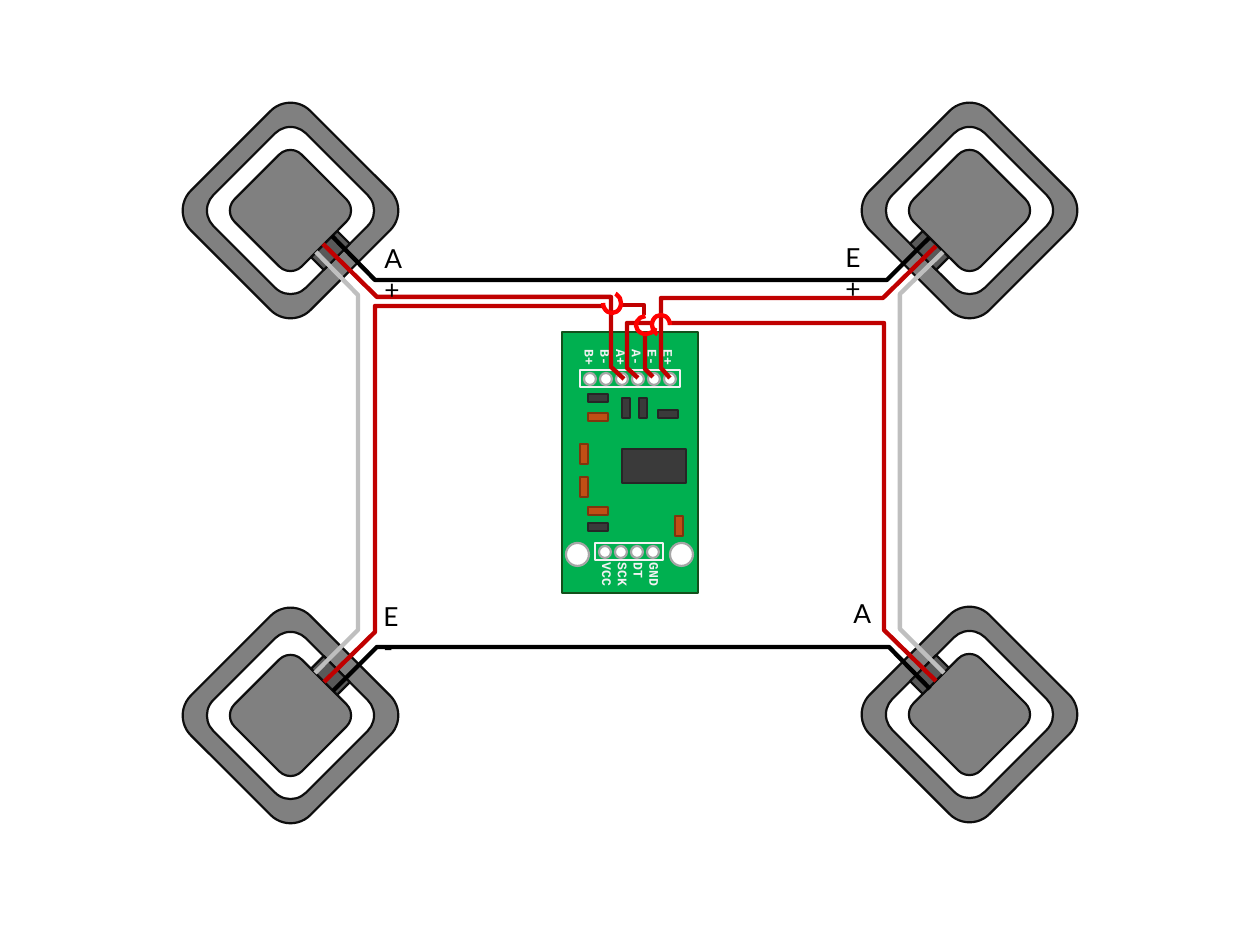
from pptx import Presentation
from pptx import util as u
from pptx.dml.color import RGBColor
from pptx.enum import shapes, text

SCALE = 914400 / 105
KIND = shapes.MSO_SHAPE
COLORS = {
    "metal": "808080", "edge": "0D0D0D", "tab": "595959", "white": "FFFFFF",
    "board": "00B050", "board_edge": "13501B", "chip": "3A3A3A", "chip_edge": "262626",
    "capacitor": "C04F15", "capacitor_edge": "80350E", "print": "F2F2F2",
    "pin_edge": "A6A6A6", "gray": "BFBFBF", "black": "000000", "red": "C00000",
    "bridge": "FF0000",
}
CELLS = [(206, 126, 1, 1), (885, 126, -1, 1), (206, 631, 1, -1), (885, 630, -1, -1)]
CHIPS = [(60, 117, 64, 34), (96, 78, 20, 8), (77, 66, 8, 20), (60, 66, 8, 20),
         (26, 62, 20, 8), (26, 191, 20, 8)]
CAPACITORS = [(26, 81, 20, 8), (26, 175, 20, 8), (18, 112, 8, 20), (18, 145, 8, 20),
              (113, 184, 8, 20)]
WIRES = [
    ("gray", [(316, 252), (358, 295), (358, 630), (315, 673)]),
    ("gray", [(943, 252), (900, 294), (900, 629), (944, 673)]),
    ("black", [(332, 236), (375, 280), (887, 280), (929, 238)]),
    ("black", [(333, 691), (377, 647), (889, 647), (930, 689)]),
    ("red", [(323, 244), (377, 297), (611, 297), (611, 367), (624, 379)]),
    ("red", [(936, 246), (883, 298), (661, 298), (661, 368), (670, 378)]),
    ("red", [(638, 378), (627, 368), (627, 323), (653, 323)]),
    ("red", [(669, 323), (884, 323), (884, 630), (936, 681)]),
    ("red", [(653, 377), (645, 369), (645, 332)]),
    ("red", [(644, 315), (644, 305), (621, 305)]),
    ("red", [(602, 306), (375, 306), (375, 632), (324, 682)]),
]
BRIDGES = [(652, 315, 0), (603, 293, 180), (637, 315, 266.5)]
TERMINALS = [("E-", 373, 595, 45), ("A+", 374, 237, 51), ("E+", 835, 236, 50),
             ("A-", 843, 592, 46)]


def px(length):
    return u.Emu(round(length * SCALE))


def color(name):
    return RGBColor.from_string(COLORS[name])


def style(shape, fill, line, width):
    shape.shadow.inherit = False
    if fill:
        shape.fill.solid()
        shape.fill.fore_color.rgb = color(fill)
    else:
        shape.fill.background()
    shape.line.color.rgb = color(line)
    shape.line.width = u.Pt(width)


def add_part(slide, kind, box, fill, line, rotation=0, width=1.5):
    shape = slide.shapes.add_shape(kind, *map(px, box))
    shape.rotation = rotation
    style(shape, fill, line, width)
    return shape


def add_text(slide, box, lines, font, size, ink, bold=False, rotation=0, spacing=None):
    shape = slide.shapes.add_textbox(*map(px, box))
    shape.rotation = rotation
    frame = shape.text_frame
    frame.word_wrap = True
    frame.vertical_anchor = text.MSO_ANCHOR.TOP
    frame.text = "\n".join(lines)
    for paragraph in frame.paragraphs:
        paragraph.line_spacing = spacing
        for run in paragraph.runs:
            run.font.name = font
            run.font.size = u.Pt(size)
            run.font.bold = bold
            run.font.color.rgb = color(ink)


def add_load_cell(slide, left, top, side_x, side_y):
    size = 169
    rotation = -45 * side_x * side_y % 360
    for inset, fill in ((0, "metal"), (19, "white"), (37, "metal")):
        inner = size - 2 * inset
        add_part(slide, KIND.ROUNDED_RECTANGLE, (left + inset, top + inset, inner, inner),
                 fill, "edge", rotation)
    width, height, offset = 37, 18, 40
    center_x = left + size / 2 + offset * side_x
    center_y = top + size / 2 + offset * side_y
    add_part(slide, KIND.RECTANGLE,
             (center_x - width / 2, center_y - height / 2, width, height),
             "tab", "edge", rotation)


def add_header(slide, left, top, count):
    pitch = 16
    add_part(slide, KIND.RECTANGLE, (left, top, count * pitch + 4, 17), None, "print")
    for index in range(count):
        add_part(slide, KIND.OVAL, (left + 4 + index * pitch, top + 3, 12, 12),
                 "white", "pin_edge")


def add_board(slide, left, top, width, height):
    add_part(slide, KIND.RECTANGLE, (left, top, width, height), "board", "board_edge")
    for fill, parts in (("chip", CHIPS), ("capacitor", CAPACITORS)):
        for x, y, part_width, part_height in parts:
            add_part(slide, KIND.RECTANGLE, (left + x, top + y, part_width, part_height),
                     fill, fill + "_edge")
    for x, y, label_width, label_height, names in (
            (47, -26, 39, 106, ["E+", "E-", "A-", "A+", "B-", "B+"]),
            (43, 208, 50, 75, ["GND", "DT", "SCK", "VCC"])):
        add_text(slide, (left + x, top + y, label_width, label_height), names,
                 "Courier New", 9, "print", True, 90, u.Pt(10.8))
    add_header(slide, left + 18, top + 38, 6)
    add_header(slide, left + 33, top + 211, 4)
    for x in (4, 108):
        add_part(slide, KIND.OVAL, (left + x, top + 211, 23, 23), "white", "pin_edge")


def add_wiring(slide):
    for line, points in WIRES:
        builder = slide.shapes.build_freeform(*points[0], scale=SCALE)
        builder.add_line_segments(points[1:], close=False)
        style(builder.convert_to_shape(), None, line, 3)
    for left, top, rotation in BRIDGES:
        arc = add_part(slide, KIND.ARC, (left, top, 18, 20), None, "bridge", rotation, 3)
        arc.adjustments[0] = 110 * 0.6
        arc.adjustments[1] = 0
    for name, left, top, width in TERMINALS:
        add_text(slide, (left, top, width, 42), [name], "Lato", 18, "black")


def main():
    presentation = Presentation()
    presentation.slide_width = px(1260)
    presentation.slide_height = px(945)
    slide = presentation.slides.add_slide(presentation.slide_layouts[6])
    for cell in CELLS:
        add_load_cell(slide, *cell)
    add_board(slide, 562, 332, 136, 261)
    add_wiring(slide)
    presentation.save("out.pptx")


if __name__ == "__main__":
    main()
